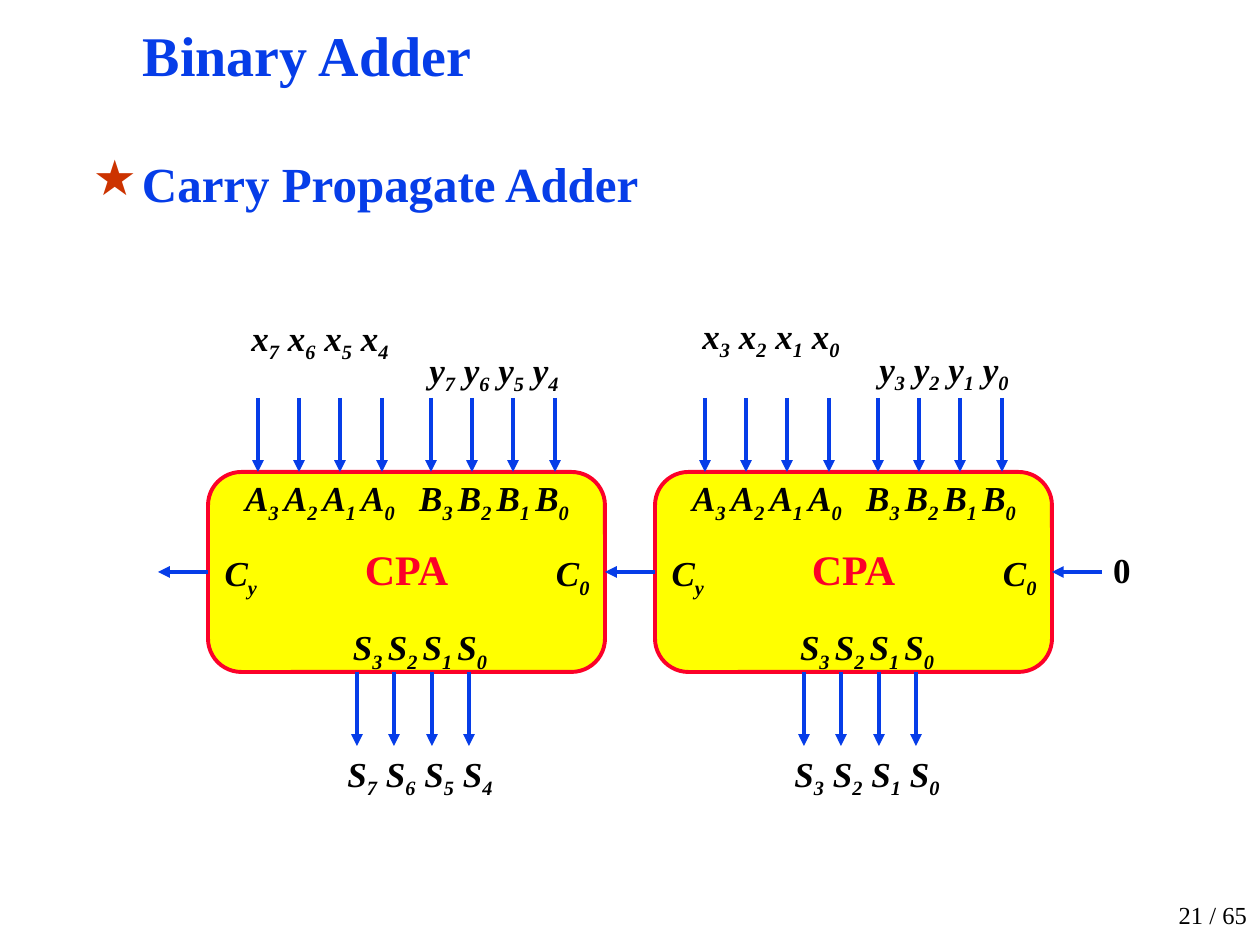
from dataclasses import dataclass

from lxml import etree
from pptx import Presentation
from pptx.dml.color import RGBColor
from pptx.enum import shapes as kinds, text as modes
from pptx.oxml.ns import qn
from pptx.util import Pt

PX = 914400 / 126
FONT = "Times New Roman"
BLUE = RGBColor(0x06, 0x3D, 0xE8)
RED = RGBColor(0xFC, 0x01, 0x28)
YELLOW = RGBColor(0xFF, 0xFF, 0x00)
BLACK = RGBColor(0, 0, 0)
STAR = "CC3300"
LEFT, MID, RIGHT = modes.PP_ALIGN.LEFT, modes.PP_ALIGN.CENTER, modes.PP_ALIGN.RIGHT

TOP, WIDE, HIGH = 472, 397, 200  # adder box
ARROW = 74
CARRY = 50  # length of a carry arrow
ROW = 174  # width of a row of four labels
A, B, S = 25, 199, 125  # row offsets inside an adder
WEST, EAST = 1, 3  # connection sites


@dataclass
class Adder:
    left: int
    high: int  # index of the highest bit
    x_shift: int
    x_top: int
    y_shift: int
    y_top: int


ADDERS = [
    Adder(208, 7, 25, 309, 199, 341),
    Adder(208 + WIDE + CARRY, 3, 29, 307, 202, 340),
]

Runs = list[tuple[str, bool]]


def emu(px: float) -> int:
    return round(px * PX)


def place(*px: int) -> list[int]:
    return [emu(n) for n in px]


def series(name: str, high: int, loose: bool = False) -> Runs:
    """Four names with falling subscripts, as (text, is subscript) runs."""
    runs: Runs = []
    for n in range(high, high - 4, -1):
        first, last = n == high, n == high - 3
        runs.append((name if first or not loose else f" {name}", False))
        runs.append((str(n) if last or loose else f"{n} ", True))
    return runs


def write(shape, runs: Runs, *, size: int = 20, color: RGBColor = BLACK,
          bold: bool = True, italic: bool = False, align=MID,
          space: float = 1.0, anchor=modes.MSO_ANCHOR.TOP,
          pad: tuple[int, int] = (0, 0), bullet: str = "") -> None:
    frame = shape.text_frame
    frame.word_wrap = True
    frame.vertical_anchor = anchor
    frame.margin_left = frame.margin_right = emu(pad[0])
    frame.margin_top = frame.margin_bottom = emu(pad[1])
    line = frame.paragraphs[0]
    if bullet:
        props = line._p.get_or_add_pPr()
        props.set("marL", str(emu(49)))
        props.set("indent", str(-emu(49)))
        tint = etree.SubElement(props, qn("a:buClr"))
        etree.SubElement(tint, qn("a:srgbClr"), val=STAR)
        etree.SubElement(props, qn("a:buChar"), char=bullet)
    line.alignment = align
    line.line_spacing = space
    for words, sub in runs:
        run = line.add_run()
        run.text = words
        font = run.font
        font.name, font.size = FONT, Pt(size)
        font.bold, font.italic = bold, italic
        font.color.rgb = color
        if sub:
            run._r.get_or_add_rPr().set("baseline", "-25000")


def label(slide, box: tuple[int, int, int, int], runs: Runs, **form) -> None:
    write(slide.shapes.add_textbox(*place(*box)), runs, **form)


def arrow(slide, start: tuple[int, int], end: tuple[int, int]):
    line = slide.shapes.add_connector(
        kinds.MSO_CONNECTOR.STRAIGHT, *place(*start, *end))
    line.line.color.rgb = BLUE
    line.line.width = Pt(2.25)
    etree.SubElement(line.line._get_or_add_ln(), qn("a:tailEnd"), type="triangle")
    etree.SubElement(line._element.spPr, qn("a:effectLst"))
    return line


def draw(slide, adder: Adder):
    """Draw one adder with its pins and labels; return its box."""
    left, base = adder.left, TOP + HIGH
    box = slide.shapes.add_shape(
        kinds.MSO_SHAPE.ROUNDED_RECTANGLE, *place(left, TOP, WIDE, HIGH))
    box.adjustments[0] = 0.167
    box.shadow.inherit = False
    box.fill.solid()
    box.fill.fore_color.rgb = YELLOW
    box.line.color.rgb = RED
    box.line.width = Pt(2.25)
    write(box, [("CPA", False)], size=24, color=RED, space=0.9,
          anchor=modes.MSO_ANCHOR.MIDDLE)

    for shift, top, name in ((A, TOP, "A"), (B, TOP, "B"), (S, TOP + 149, "S")):
        label(slide, (left + shift, top, ROW, 47), series(name, 3),
              italic=True, space=1.1)
    for shift, pin, align in ((0, "y", RIGHT), (WIDE - 49, "0", LEFT)):
        label(slide, (left + shift, TOP + 75, 49, 47),
              [("C", False), (pin, True)], italic=True, space=1.1, align=align)
    for shift, top, name in ((adder.x_shift, adder.x_top, "x"),
                             (adder.y_shift, adder.y_top, "y"),
                             (S, 745, "S")):
        label(slide, (left + shift, top, ROW, 48),
              series(name, adder.high, loose=True), italic=True, space=1.15)

    for n in range(4):
        for first in (50, 223):
            x = left + first + 124 * n // 3
            arrow(slide, (x, TOP - ARROW), (x, TOP))
        x = left + 149 + 75 * n // 2
        arrow(slide, (x, base), (x, base + ARROW))
    return box


def main() -> None:
    deck = Presentation()
    deck.slide_width, deck.slide_height = place(1260, 945)
    slide = deck.slides.add_slide(deck.slide_layouts[6])

    label(slide, (134, 26, 1091, 66), [("Binary Adder", False)], size=32,
          color=BLUE, align=LEFT, space=0.87, pad=(9, 4))
    label(slide, (84, 150, 1142, 66), [("Carry Propagate Adder", False)],
          size=28, color=BLUE, align=LEFT, pad=(9, 4), bullet="★")
    label(slide, (1095, 895, 165, 40), [("21 / 65", False)], size=14,
          bold=False, align=RIGHT, anchor=modes.MSO_ANCHOR.BOTTOM, pad=(13, 6))

    boxes = [draw(slide, adder) for adder in ADDERS]
    mid = TOP + HIGH // 2
    edges = [adder.left for adder in ADDERS] + [ADDERS[-1].left + WIDE + CARRY]
    for n, edge in enumerate(edges):
        carry = arrow(slide, (edge, mid), (edge - CARRY, mid))
        if n < len(boxes):
            carry.begin_connect(boxes[n], WEST)
        if n > 0:
            carry.end_connect(boxes[n - 1], EAST)
    label(slide, (edges[-1], 542, 40, 48), [("0", False)], space=1.15)

    deck.save("out.pptx")


if __name__ == "__main__":
    main()
